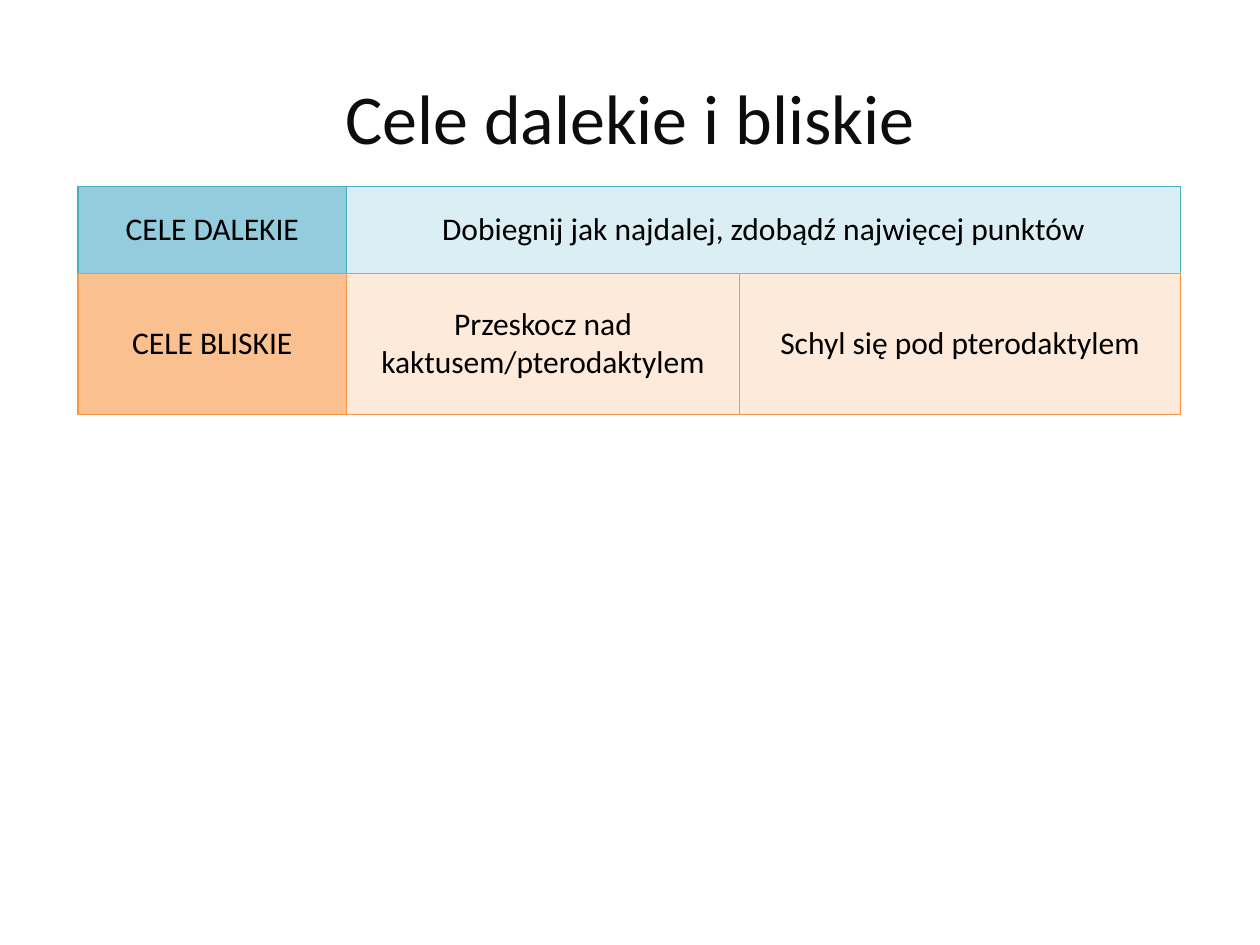
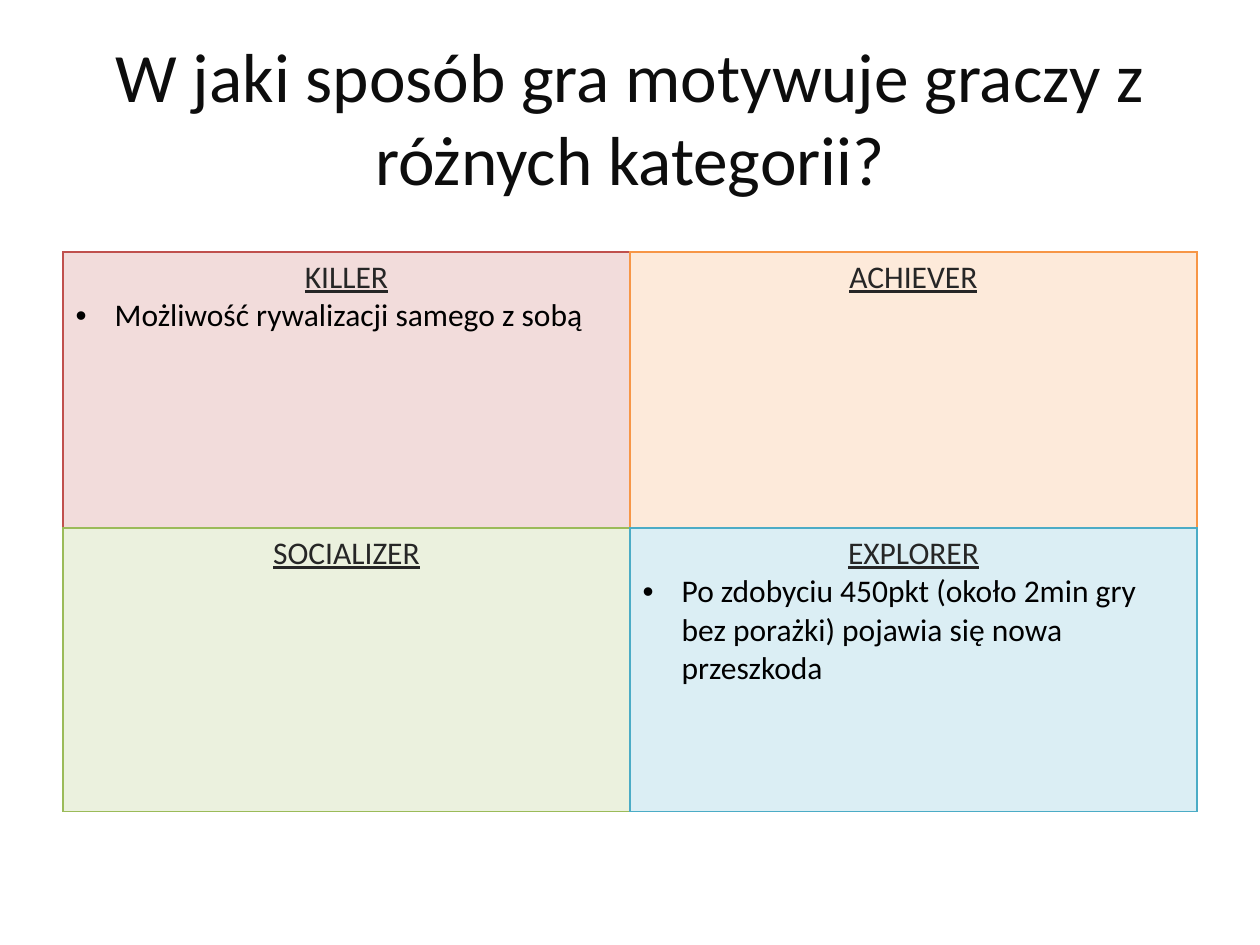
from lxml import etree
from pptx import Presentation
from pptx.dml.color import RGBColor
from pptx.enum.text import MSO_ANCHOR, PP_ALIGN
from pptx.oxml.ns import qn
from pptx.util import Inches, Pt

CENTER, LEFT = PP_ALIGN.CENTER, PP_ALIGN.LEFT
MIDDLE, TOP = MSO_ANCHOR.MIDDLE, MSO_ANCHOR.TOP
TITLE_ONLY = 5
FONT = "Calibri"
BLACK, TITLE_INK, HEADING_INK = "000000", "0D0D0D", "262626"
RED, ORANGE, GREEN, TEAL = "C0504D", "F79646", "9BBB59", "4BACC6"
PALE_RED, PALE_ORANGE, PALE_GREEN, PALE_TEAL = "F2DCDB", "FDEADA", "EBF1DE", "DBEEF4"
MID_TEAL, MID_ORANGE = "93CDDD", "FAC090"


def rgb(color):
    """Turn a hex string into a colour."""
    return RGBColor.from_string(color)


def style(p, size, color, align=CENTER):
    """Format a whole paragraph."""
    p.alignment = align
    p.font.name, p.font.size = FONT, Pt(size)
    p.font.color.rgb = rgb(color)


def add_slide(prs, title, size):
    """Add a slide with the shared title style."""
    s = prs.slides.add_slide(prs.slide_layouts[TITLE_ONLY])
    sp = s.shapes.title
    sp.left, sp.top = Inches(0.5), Inches(0.3)
    sp.width, sp.height = Inches(9), Inches(1.25)
    tf = sp.text_frame
    tf.text, tf.word_wrap, tf.vertical_anchor = title, True, MIDDLE
    style(tf.paragraphs[0], size, TITLE_INK)
    return s


def add_grid(s, left, top, widths, heights):
    """Add a plain table with the given column widths and row heights."""
    table = s.shapes.add_table(len(heights), len(widths), Inches(left), Inches(top),
                               Inches(sum(widths)), Inches(sum(heights))).table
    table.first_row = table.horz_banding = False
    for column, width in zip(table.columns, widths):
        column.width = Inches(width)
    for row, height in zip(table.rows, heights):
        row.height = Inches(height)
    return table


def paint(cell, fill, borders):
    """Set borders (left, right, top, bottom), then the fill."""
    tc_pr = cell._tc.get_or_add_tcPr()
    for side, color in zip("LRTB", borders):
        ln = etree.SubElement(tc_pr, qn("a:ln" + side), w=str(Pt(1)))
        solid = etree.SubElement(ln, qn("a:solidFill"))
        etree.SubElement(solid, qn("a:srgbClr"), val=color)
    cell.fill.solid()
    cell.fill.fore_color.rgb = rgb(fill)


def add_bullet(p):
    """Give a paragraph a hanging round bullet."""
    p_pr = p._p.get_or_add_pPr()
    p_pr.set("marL", str(Inches(0.31)))
    p_pr.set("indent", str(Inches(-0.31)))
    etree.SubElement(p_pr, qn("a:buFont"), typeface="Arial")
    etree.SubElement(p_pr, qn("a:buChar"), char="•")


def fill_goal(cell, text):
    """Write a centred goal."""
    cell.text, cell.vertical_anchor = text, MIDDLE
    style(cell.text_frame.paragraphs[0], 18, BLACK)


def fill_player_type(cell, heading, points):
    """Write an underlined heading with bullets below it."""
    cell.vertical_anchor = TOP
    tf = cell.text_frame
    tf.text = heading
    p = tf.paragraphs[0]
    style(p, 18, HEADING_INK)
    p.font.underline = True
    for point in points:
        p = tf.add_paragraph()
        p.text = point
        style(p, 18, BLACK, LEFT)
        add_bullet(p)


def goals_slide(prs):
    """Far and near goals of the game."""
    s = add_slide(prs, "Cele dalekie i bliskie", 40)
    table = add_grid(s, 0.62, 1.48, [2.13, 3.12, 3.5], [0.69, 1.12])
    far = (TEAL, TEAL, TEAL, GREEN)
    near = (ORANGE, ORANGE, GREEN, ORANGE)
    cells = [
        (0, 0, "CELE DALEKIE", MID_TEAL, far),
        (0, 1, "Dobiegnij jak najdalej, zdobądź najwięcej punktów", PALE_TEAL, far),
        (1, 0, "CELE BLISKIE", MID_ORANGE, near),
        (1, 1, "Przeskocz nad kaktusem/pterodaktylem", PALE_ORANGE, near),
        (1, 2, "Schyl się pod pterodaktylem", PALE_ORANGE, (ORANGE,) * 4),
    ]
    table.cell(0, 1).merge(table.cell(0, 2))
    for row, column, text, fill, borders in cells:
        fill_goal(table.cell(row, column), text)
        paint(table.cell(row, column), fill, borders)
    paint(table.cell(0, 2), PALE_TEAL, (TEAL, TEAL, TEAL, ORANGE))


def players_slide(prs):
    """How the game motivates each type of player."""
    s = add_slide(prs, "W jaki sposób gra motywuje graczy z różnych kategorii?", 39.6)
    table = add_grid(s, 0.5, 2, [4.5, 4.5], [2.19, 2.25])
    types = [
        ("KILLER", ["Możliwość rywalizacji samego z sobą"],
         PALE_RED, (RED, ORANGE, RED, GREEN)),
        ("ACHIEVER", [], PALE_ORANGE, (ORANGE, ORANGE, ORANGE, TEAL)),
        ("SOCIALIZER", [], PALE_GREEN, (GREEN, TEAL, GREEN, GREEN)),
        ("EXPLORER", ["Po zdobyciu 450pkt (około 2min gry bez porażki) "
                      "pojawia się nowa przeszkoda"], PALE_TEAL, (TEAL,) * 4),
    ]
    for cell, (heading, points, fill, borders) in zip(table.iter_cells(), types):
        fill_player_type(cell, heading, points)
        paint(cell, fill, borders)


def main():
    """Build and save the presentation."""
    prs = Presentation()
    prs.slide_width, prs.slide_height = Inches(10), Inches(7.5)
    goals_slide(prs)
    players_slide(prs)
    prs.save("out.pptx")


main()
